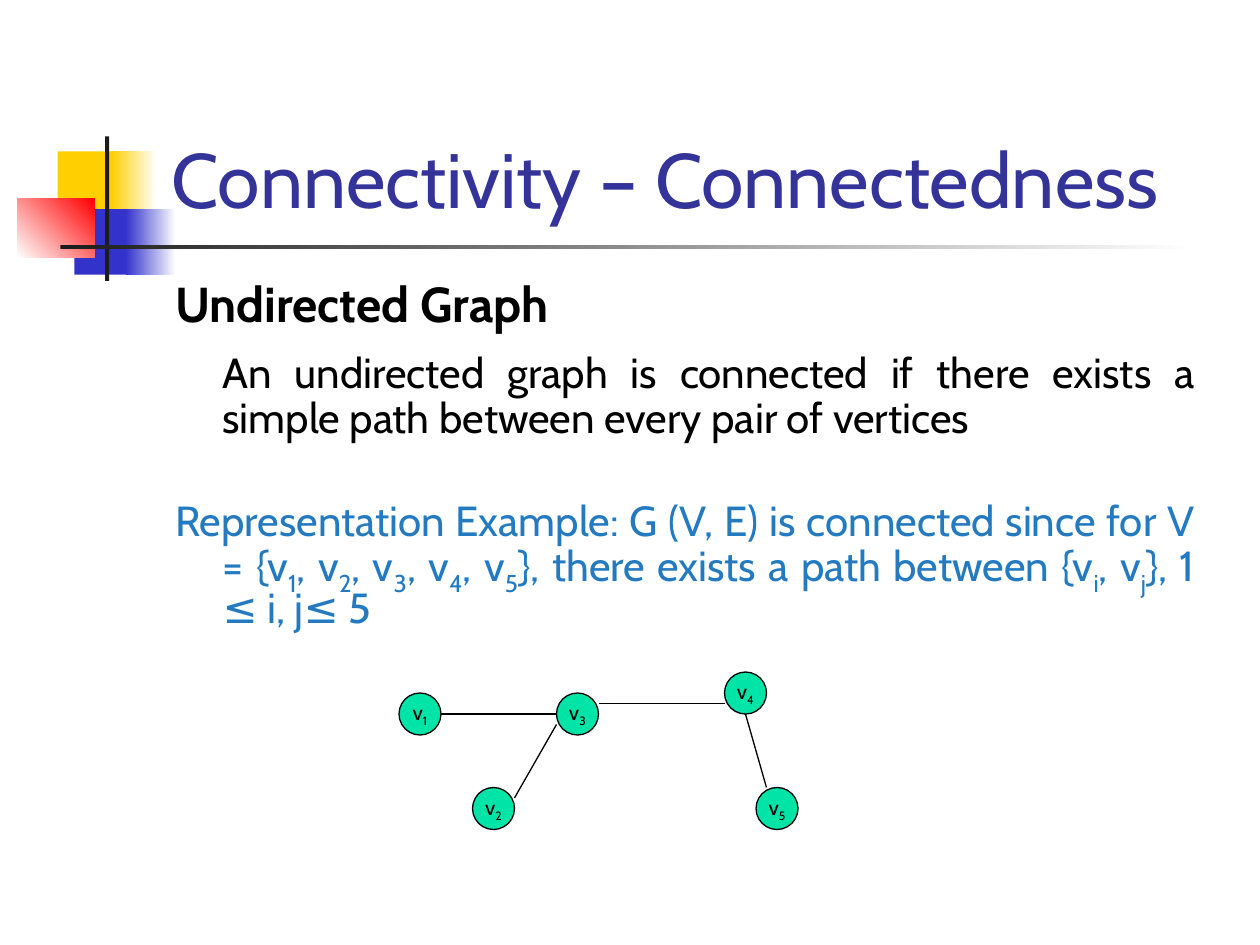
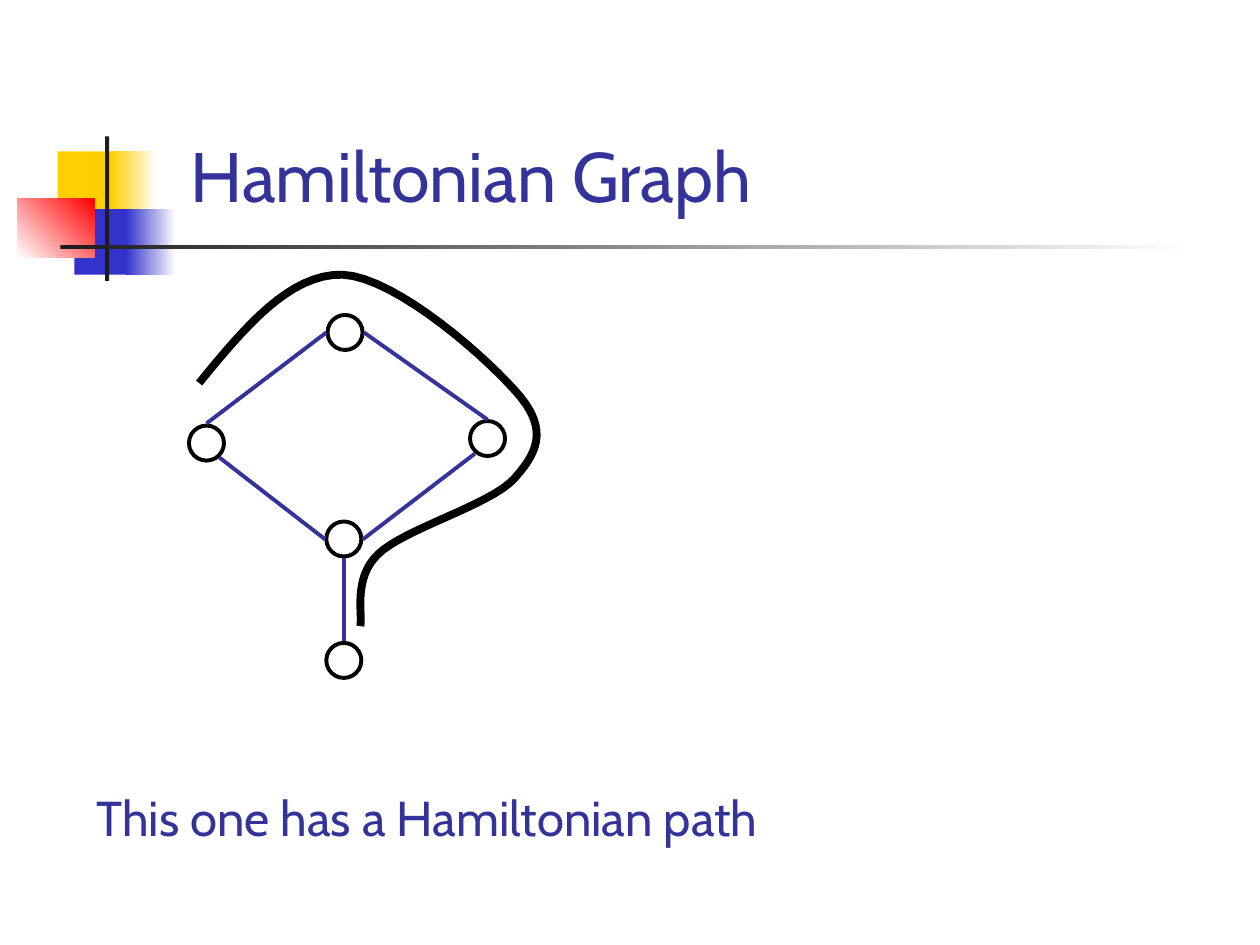
from itertools import pairwise

from lxml.etree import SubElement
from pptx import Presentation
from pptx.dml.color import RGBColor
from pptx.enum.shapes import MSO_CONNECTOR, MSO_SHAPE
from pptx.enum.text import MSO_ANCHOR, MSO_AUTO_SIZE, PP_ALIGN
from pptx.oxml.ns import qn
from pptx.util import Pt

FONT = "Cabin"
BLACK = RGBColor(0x00, 0x00, 0x00)
WHITE = RGBColor(0xFF, 0xFF, 0xFF)
INDIGO = RGBColor(0x33, 0x33, 0x99)
SKY_BLUE = RGBColor(0x23, 0x7A, 0xC1)
MINT = RGBColor(0x00, 0xE4, 0xA8)
YELLOW = RGBColor(0xFF, 0xCF, 0x01)
BLUE = RGBColor(0x33, 0x33, 0xCC)
RED = RGBColor(0xFF, 0x00, 0x00)
CHARCOAL = RGBColor(0x1C, 0x1C, 0x1C)

# left, top, width, height, colours from start to end, gradient angle
MASTER_BLOCKS = [
    (33, 86.5, 34.5, 37.5, [YELLOW], 0),
    (63.5, 86.5, 26, 37.5, [YELLOW, WHITE], 0),
    (42.5, 119.5, 33, 37.5, [BLUE], 0),
    (72, 119.5, 28.5, 37.5, [BLUE, WHITE], 0),
    (10, 113.5, 44, 33.5, [WHITE, RED], 45),
    (60, 78, 2.4, 82.5, [CHARCOAL], 0),
    (34.5, 140, 648, 2.5, [CHARCOAL, WHITE], 0),
]

VERTEX_SIZE = 24
VERTICES = [(228, 396), (270, 450), (318, 396), (414, 384), (432, 450)]
EDGES = [
    ((252, 408), (318, 408)),
    ((294, 456), (318, 414)),
    ((342, 402), (414, 402)),
    ((426, 408), (438, 450)),
]

RING_SIZE = 20
RINGS = [(187.2, 180), (108, 243.2), (268.6, 240.6), (186.5, 298), (186.5, 367.4)]
RING_EDGES = [
    ((186.5, 190), (118, 242)),
    ((208, 190), (278.6, 239.8)),
    ((185.8, 308.2), (125.3, 261.4)),
    ((207.4, 308.2), (271.4, 259.2)),
    ((196.6, 319), (196.6, 366.5)),
]
# knots of the path, each pair of knots with two control points between them
HAMILTONIAN_PATH = [
    (113.8, 218.9), (139.7, 187.2), (165.6, 156.2), (195.8, 157),
    (226.8, 158.4), (280.8, 206.6), (297.4, 226.8),
    (313.2, 246.2), (306.7, 259.2), (293.8, 273.6),
    (280.1, 288.7), (230.4, 302.4), (216, 316.8),
    (201.6, 330.5), (207.4, 351.4), (205.9, 357.8),
]
CURVE_STEPS = 16


def set_format(target, values):
    for name, value in values.items():
        setattr(target, name, value)


def place(shape, left, top, width, height):
    set_format(shape, {"left": Pt(left), "top": Pt(top),
                       "width": Pt(width), "height": Pt(height)})


def add_text(paragraph, text, size, color, bold=False):
    """Add runs; parts between tildes become subscripts."""
    for index, part in enumerate(text.split("~")):
        if not part:
            continue
        run = paragraph.add_run()
        run.text = part
        set_format(run.font, {"name": FONT, "size": Pt(size), "bold": bold})
        run.font.color.rgb = color
        if index % 2:
            run._r.get_or_add_rPr().set("baseline", "-25000")


def fill_title(slide, text, size, box, alignment=PP_ALIGN.LEFT):
    title = slide.shapes.title
    place(title, *box)
    set_format(title.text_frame, {"vertical_anchor": MSO_ANCHOR.BOTTOM,
                                  "auto_size": MSO_AUTO_SIZE.NONE})
    paragraph = title.text_frame.paragraphs[0]
    paragraph.alignment = alignment
    add_text(paragraph, text, size, INDIGO)


def add_body_paragraph(paragraph, text, size, color, indent, bold=False, **layout):
    properties = paragraph._p.get_or_add_pPr()
    properties.set("marL", str(Pt(27)))
    properties.set("indent", str(Pt(indent)))
    SubElement(properties, qn("a:buNone"))
    set_format(paragraph, {"line_spacing": 0.8, "space_before": Pt(0), **layout})
    add_text(paragraph, text, size, color, bold)


def add_plain_shape(shapes, kind, left, top, width, height):
    shape = shapes.add_shape(kind, Pt(left), Pt(top), Pt(width), Pt(height))
    shape.shadow.inherit = False
    return shape


def add_circle(shapes, position, size, line_width, fill=None):
    circle = add_plain_shape(shapes, MSO_SHAPE.OVAL, *position, size, size)
    if fill is None:
        circle.fill.background()
    else:
        circle.fill.solid()
        circle.fill.fore_color.rgb = fill
    circle.line.color.rgb = BLACK
    circle.line.width = Pt(line_width)
    return circle


def add_vertex(slide, position, label):
    vertex = add_circle(slide.shapes, position, VERTEX_SIZE, 0.75, MINT)
    set_format(vertex.text_frame, {"word_wrap": False,
                                   "vertical_anchor": MSO_ANCHOR.MIDDLE})
    paragraph = vertex.text_frame.paragraphs[0]
    paragraph.alignment = PP_ALIGN.CENTER
    add_text(paragraph, label, 12, BLACK)


def add_edge(shapes, start, end, color, width):
    points = [Pt(value) for value in (*start, *end)]
    edge = shapes.add_connector(MSO_CONNECTOR.STRAIGHT, *points)
    edge.line.color.rgb = color
    edge.line.width = Pt(width)
    SubElement(edge.element.spPr, qn("a:effectLst"))


def curve_point(knots, t):
    """Point at t on a cubic Bezier curve."""
    weights = ((1 - t) ** 3, 3 * t * (1 - t) ** 2, 3 * t * t * (1 - t), t ** 3)
    return tuple(Pt(sum(weight * value for weight, value in zip(weights, axis)))
                 for axis in zip(*knots))


def add_curve(slide, knots, width):
    points = [curve_point(knots[first:first + 4], step / CURVE_STEPS)
              for first in range(0, len(knots) - 1, 3)
              for step in range(1, CURVE_STEPS + 1)]
    start_x, start_y = (Pt(value) for value in knots[0])
    builder = slide.shapes.build_freeform(start_x, start_y)
    builder.add_line_segments(points, close=False)
    curve = builder.convert_to_shape()
    curve.shadow.inherit = False
    curve.fill.background()
    curve.line.color.rgb = BLACK
    curve.line.width = Pt(width)


def decorate_master(presentation, slide):
    """Draw the shared blocks on a slide and move them to its master."""
    master_tree = presentation.slide_master.shapes.element
    for index, (*box, colors, angle) in enumerate(MASTER_BLOCKS):
        block = add_plain_shape(slide.shapes, MSO_SHAPE.RECTANGLE, *box)
        block.line.fill.background()
        if len(colors) == 1:
            block.fill.solid()
            block.fill.fore_color.rgb = colors[0]
        else:
            block.fill.gradient()
            block.fill.gradient_angle = angle
            for stop, color in zip(block.fill.gradient_stops, colors):
                stop.color.rgb = color
        block.element.nvSpPr.cNvPr.set("id", str(100 + index))
        master_tree.insert(2 + index, block.element)


def build_connectedness(slide):
    fill_title(slide, "Connectivity – Connectedness", 44, (90.7, 16.5, 613.5, 115.2))
    body = slide.placeholders[1]
    place(body, 93, 159, 597, 225.5)
    frame = body.text_frame
    frame.auto_size = MSO_AUTO_SIZE.NONE
    add_body_paragraph(frame.paragraphs[0], "Undirected Graph", 28, BLACK, -27, bold=True)
    add_body_paragraph(
        frame.add_paragraph(),
        "An undirected graph is connected if there exists a simple path "
        "between every pair of vertices",
        24, BLACK, 0, alignment=PP_ALIGN.JUSTIFY, line_spacing=0.9,
        space_before=Pt(11.7))
    add_body_paragraph(
        frame.add_paragraph(),
        "Representation Example: G (V, E) is connected since for "
        "V = {v~1~, v~2~, v~3~, v~4~, v~5~}, there exists a path between "
        "{v~i~, v~j~}, 1 ≤ i, j≤ 5",
        24, SKY_BLUE, -27, alignment=PP_ALIGN.JUSTIFY, space_before=Pt(35.4))
    for number, position in enumerate(VERTICES, start=1):
        add_vertex(slide, position, f"v~{number}~")
    for start, end in EDGES:
        add_edge(slide.shapes, start, end, BLACK, 0.75)


def build_hamiltonian(slide):
    graph = slide.shapes.add_group_shape()
    for position in RINGS:
        add_circle(graph.shapes, position, RING_SIZE, 2.25)
    for start, end in RING_EDGES:
        add_edge(graph.shapes, start, end, INDIGO, 2.25)
    fill_title(slide, "This one has a Hamiltonian path", 28,
               (48, 402, 613.5, 85), PP_ALIGN.JUSTIFY)
    add_curve(slide, HAMILTONIAN_PATH, 4.5)
    heading = slide.shapes.add_textbox(Pt(102), Pt(72), Pt(522), Pt(55.5))
    heading.text_frame.word_wrap = True
    add_text(heading.text_frame.paragraphs[0], "Hamiltonian Graph", 40, INDIGO)


def main():
    presentation = Presentation()
    set_format(presentation, {"slide_width": Pt(720), "slide_height": Pt(540)})
    layouts = presentation.slide_layouts
    connectedness = presentation.slides.add_slide(layouts.get_by_name("Title and Content"))
    decorate_master(presentation, connectedness)
    build_connectedness(connectedness)
    build_hamiltonian(presentation.slides.add_slide(layouts.get_by_name("Title Only")))
    presentation.save("out.pptx")


if __name__ == "__main__":
    main()
